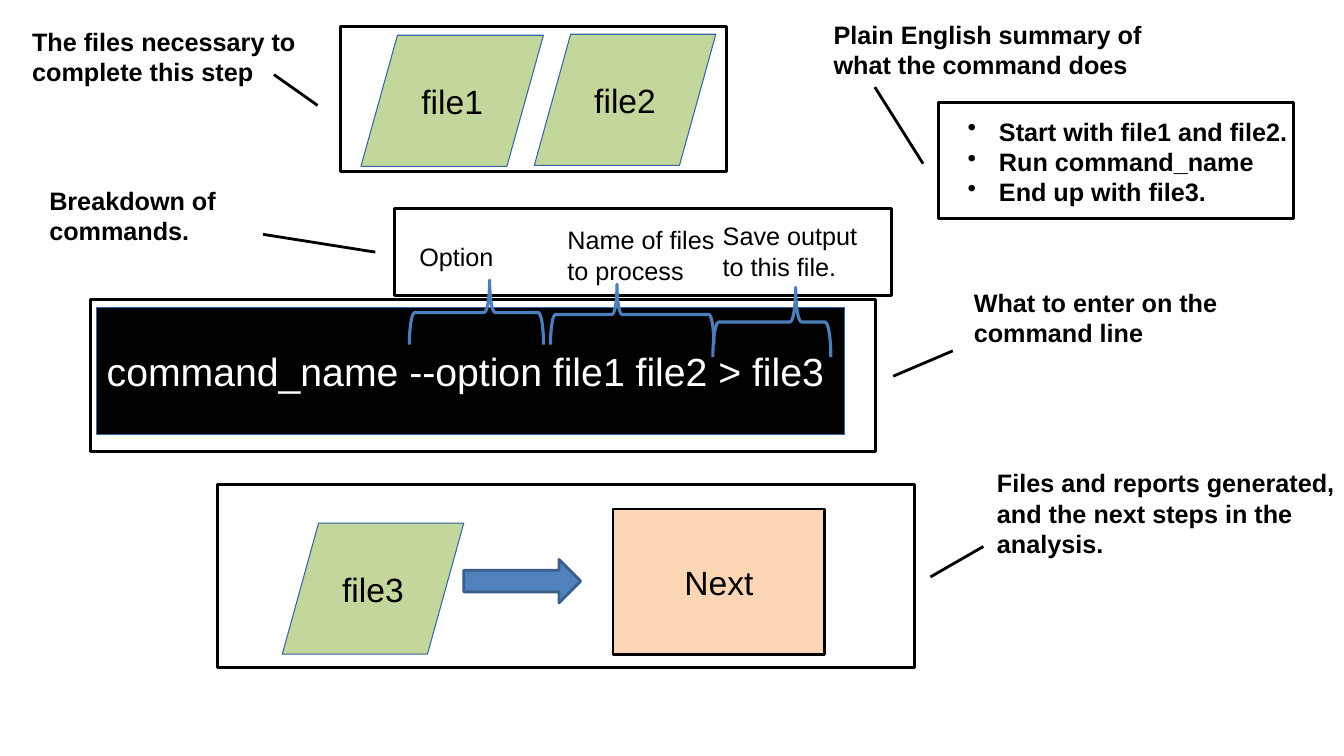
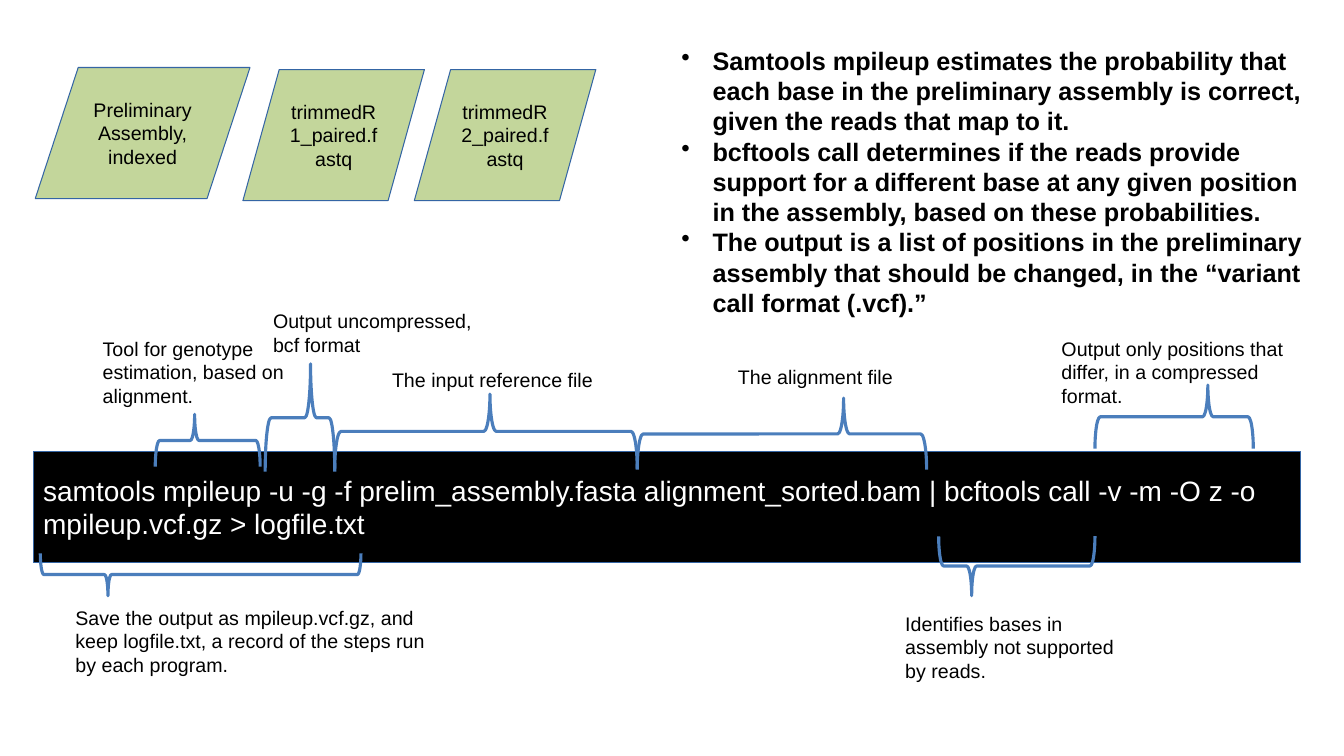
"""Build two slides that explain how a command line is read."""
from lxml.etree import SubElement
from pptx import Presentation
from pptx.dml.color import RGBColor
from pptx.enum.shapes import MSO_SHAPE as Geo
from pptx.enum.text import MSO_ANCHOR as Anchor, PP_ALIGN as Align
from pptx.oxml.ns import qn
from pptx.util import Inches, Pt

INK, PAPER, EDGE, CURVE = "000000", "FFFFFF", "3465A4", "4B7EBC"
SIZE = (13.33, 7.5)

NOTE = {"size": 18}
HEAD = {"size": 18, "bold": True}
SMALL = {"size": 14}
LOOKS = {
    "frame": {"kind": Geo.LINE_CALLOUT_1, "fill": PAPER, "line": INK, "width": 2},
    "file": {"kind": Geo.FLOWCHART_DATA, "fill": "C3D69B", "line": EDGE, "width": 0.75},
    "bar": {"kind": Geo.RECTANGLE, "fill": INK, "line": EDGE, "width": 0.75},
    "next": {"kind": Geo.RECTANGLE, "fill": "FCD5B5", "line": INK, "width": 2},
    "arrow": {"kind": Geo.RIGHT_ARROW, "fill": "4F81BD", "line": "3A5F8C", "width": 2},
    "brace": {"kind": Geo.LEFT_BRACE, "fill": None, "line": CURVE, "width": 2.25},
}

SLIDES = [
    {
        "frames": [
            ((2.16, 4.81, 6.91, 1.81), (0.505, 1.023, 0.338, 1.099)),
            ((0.9, 2.97, 7.78, 1.51), (0.505, 1.023, 0.338, 1.099)),
            ((9.31, 1.02, 3.52, 1.15), (0.525, -0.044, -0.136, -0.18)),
            ((3.91, 2.07, 4.93, 0.86), (0.502, -0.038, 0.297, -0.264)),
            ((3.38, 0.26, 3.83, 1.44), (0.546, -0.06, 0.334, -0.173)),
        ],
        "bar": ((0.96, 3.05, 7.42, 1.26),
                "command_name --option file1 file2 > file3", 28, False),
        "files": [
            ((3.58, 0.35, 1.81, 1.3), "file1"),
            ((5.3, 0.34, 1.8, 1.3), "file2"),
            ((2.8, 5.19, 1.8, 1.3), "file3"),
        ],
        "font": 24,
        "wrap": False,
        "next": ((6.08, 5.05, 2.1, 1.44), "Next"),
        "arrow": (4.6, 5.55, 1.16, 0.43),
        "over": [
            ((4.06, 2.78, 1.33, 0.64), 0.402),
            ((5.46, 2.82, 1.62, 0.6), 0.593),
            ((7.07, 2.85, 1.17, 0.69), 0.298),
        ],
        "under": [],
        "texts": [
            ((0.22, 0.21, 3.31, 1.48), "The files necessary to complete this step", HEAD),
            ((8.17, 0.14, 3.7, 1.48), "Plain English summary of what the command does", HEAD),
            ((0.39, 1.79, 1.98, 1.48), "Breakdown of commands.", HEAD),
            ((9.56, 2.8, 3.7, 1.48), "What to enter on the command line", HEAD),
            ((9.79, 4.59, 3.7, 1.48),
             "Files and reports generated, and the next steps in the analysis.", HEAD),
            ((4.06, 2.34, 1.02, 0.4), "Option", NOTE),
            ((5.53, 2.18, 1.76, 0.71), "Name of files to process", NOTE),
            ((7.07, 2.14, 1.76, 0.71), "Save output to this file.", NOTE),
        ],
        "list": ((9.5, 1.1, 3.7, 1.48), [
            "Start with file1 and file2.",
            "Run command_name",
            "End up with file3.",
        ]),
    },
    {
        "frames": [],
        "bar": ((0.33, 4.48, 12.57, 1.1),
                "samtools mpileup -u -g -f prelim_assembly.fasta alignment_sorted.bam | "
                "bcftools call -v -m -O z -o mpileup.vcf.gz > logfile.txt", 20, True),
        "files": [
            ((0.35, 0.67, 2.13, 1.3), "Preliminary Assembly, indexed"),
            ((2.41, 0.69, 1.8, 1.3), "trimmedR1_paired.fastq"),
            ((4.11, 0.69, 1.8, 1.3), "trimmedR2_paired.fastq"),
        ],
        "font": 14,
        "wrap": True,
        "over": [
            ((1.54, 4.11, 1.04, 0.52), 0.625),
            ((2.63, 3.61, 0.69, 1.07), 0.348),
            ((3.32, 3.91, 3, 0.74), 0.487),
            ((6.32, 3.95, 2.87, 0.71), 0.287),
            ((10.86, 3.82, 1.57, 0.63), 0.287),
        ],
        "under": [
            ((0.4, 5.49, 3.18, 0.42), 0.211),
            ((9.31, 5.32, 1.55, 0.59), 0.211),
        ],
        "texts": [
            ((0.92, 3.29, 2.13, 0.81), "Tool for genotype estimation, based on alignment.", SMALL),
            ((2.61, 3.02, 2.43, 0.57), "Output uncompressed, bcf format", SMALL),
            ((3.79, 3.6, 2.26, 0.34), "The input reference file", SMALL),
            ((7.22, 3.57, 1.9, 0.34), "The alignment file", SMALL),
            ((10.43, 3.29, 2.43, 0.81),
             "Output only positions that differ, in a compressed format.", SMALL),
            ((0.65, 5.96, 3.83, 0.81),
             "Save the output as mpileup.vcf.gz, and keep logfile.txt, "
             "a record of the steps run by each program.", SMALL),
            ((8.88, 6.02, 2.42, 0.81),
             "Identifies bases in assembly not supported by reads.", SMALL),
        ],
        "list": ((6.66, 0.4, 6.46, 1.48), [
            "Samtools mpileup estimates the probability that each base in the "
            "preliminary assembly is correct, given the reads that map to it.",
            "bcftools call determines if the reads provide support for a different base "
            "at any given position in the assembly, based on these probabilities.",
            "The output is a list of positions in the preliminary assembly that should "
            "be changed, in the “variant call format (.vcf).”",
        ]),
    },
]


def color(code):
    return RGBColor.from_string(code)


def place(box):
    return [Inches(part) for part in box]


def write(shape, lines, form, ink=INK, align=Align.LEFT,
          anchor=Anchor.TOP, wrap=True, dots=False):
    frame = shape.text_frame
    frame.word_wrap, frame.vertical_anchor = wrap, anchor
    for rank, line in enumerate(lines):
        para = frame.add_paragraph() if rank else frame.paragraphs[0]
        para.alignment = align
        if dots:
            props = para._p.get_or_add_pPr()
            props.set("marL", str(Inches(0.31)))
            props.set("indent", str(-Inches(0.31)))
            SubElement(props, qn("a:buChar")).set("char", "•")
        run = para.add_run()
        run.text = line
        run.font.color.rgb = color(ink)
        for name, value in {"name": "Arial", **form, "size": Pt(form["size"])}.items():
            setattr(run.font, name, value)


def draw(slide, look, box, tweaks=()):
    form = LOOKS[look]
    shape = slide.shapes.add_shape(form["kind"], *place(box))
    shape.shadow.inherit = False
    if form["fill"]:
        shape.fill.solid()
        shape.fill.fore_color.rgb = color(form["fill"])
    else:
        shape.fill.background()
    shape.line.color.rgb = color(form["line"])
    shape.line.width = Pt(form["width"])
    for rank, value in enumerate(tweaks):
        shape.adjustments[rank] = value
    return shape


def brace(slide, box, tip, turn):
    left, top, width, height = box
    shift = (width - height) / 2
    shape = draw(slide, "brace", (left + shift, top - shift, height, width), (0.083, tip))
    shape.rotation = turn


def label(slide, box, lines, form, dots=False):
    write(slide.shapes.add_textbox(*place(box)), lines, form, dots=dots)


def build(slide, data):
    for box, tweaks in data["frames"]:
        draw(slide, "frame", box, tweaks)
    box, text, size, wrap = data["bar"]
    write(draw(slide, "bar", box), [text], {"size": size}, PAPER,
          anchor=Anchor.MIDDLE, wrap=wrap)
    cells = [("file", *item) for item in data["files"]]
    if "next" in data:
        cells.append(("next", *data["next"]))
        draw(slide, "arrow", data["arrow"])
    for look, box, text in cells:
        write(draw(slide, look, box), [text], {"size": data["font"]},
              align=Align.CENTER, anchor=Anchor.MIDDLE, wrap=data["wrap"])
    for side, turn in (("over", 90), ("under", 270)):
        for box, tip in data[side]:
            brace(slide, box, tip, turn)
    for box, text, form in data["texts"]:
        label(slide, box, [text], form)
    label(slide, *data["list"], HEAD, dots=True)


def main():
    deck = Presentation()
    deck.slide_width, deck.slide_height = place(SIZE)
    for data in SLIDES:
        build(deck.slides.add_slide(deck.slide_layouts[6]), data)
    deck.save("out.pptx")


if __name__ == "__main__":
    main()
